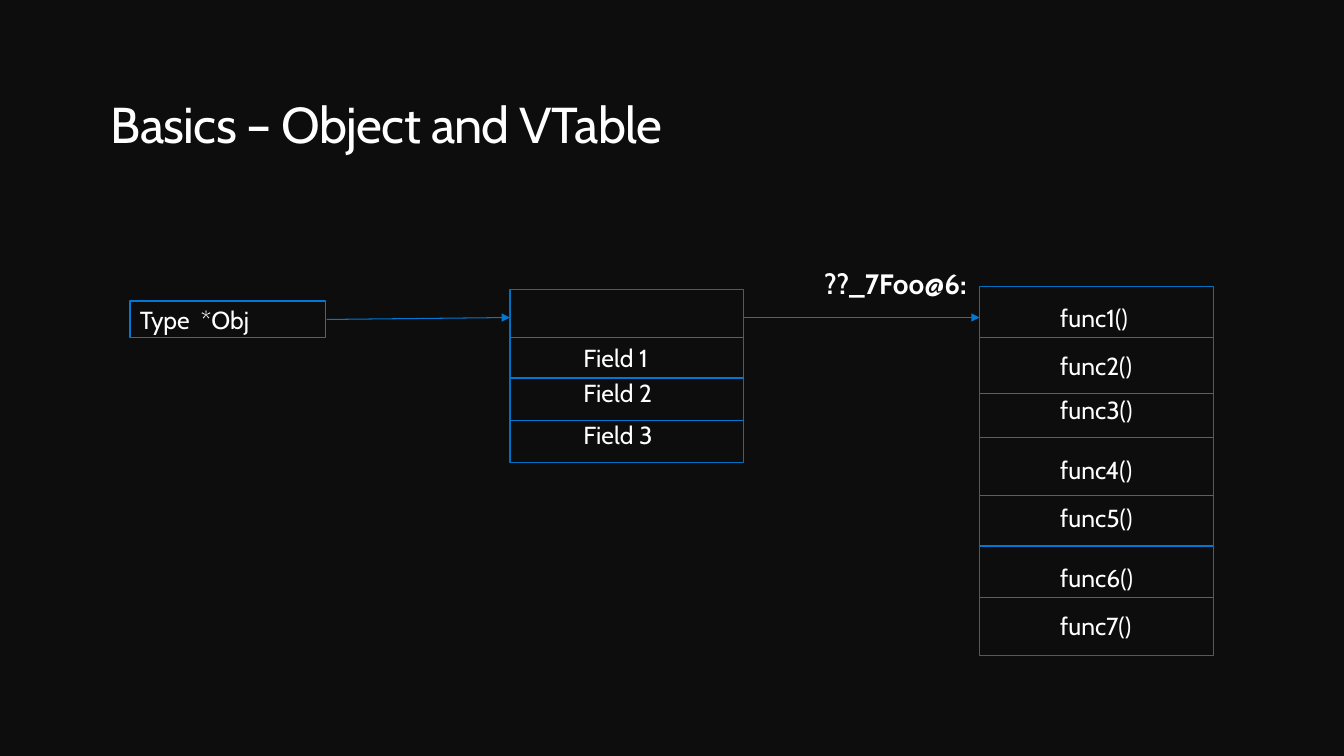
from lxml import etree
from pptx import Presentation
from pptx.dml.color import RGBColor
from pptx.enum import shapes, text
from pptx.oxml.ns import qn
from pptx.util import Pt

BACK = RGBColor(0x0D, 0x0D, 0x0D)
WHITE = RGBColor(0xFF, 0xFF, 0xFF)
BLUE = RGBColor(0x00, 0x78, 0xD4)
FRAME = RGBColor(0x00, 0x70, 0xC0)

prs = Presentation()
prs.slide_width, prs.slide_height = Pt(960), Pt(540)
s = prs.slides.add_slide(prs.slide_layouts[5])
s.background.fill.solid()
s.background.fill.fore_color.rgb = BACK


def write(sp, words, size=17.6, bold=False):
    tf = sp.text_frame
    tf.word_wrap = True
    p = tf.paragraphs[0]
    p.alignment = text.PP_ALIGN.LEFT
    r = p.add_run()
    r.text = words
    r.font.name, r.font.size, r.font.bold = "Cabin", Pt(size), bold
    r.font.color.rgb = WHITE
    return r


def connect(x1, y1, x2, y2, arrow=False):
    line = s.shapes.add_connector(shapes.MSO_CONNECTOR.STRAIGHT, Pt(x1), Pt(y1), Pt(x2), Pt(y2))
    line.line.color.rgb = BLUE
    line.line.width = Pt(0.75)
    if arrow:
        etree.SubElement(line.line._get_or_add_ln(), qn("a:tailEnd"), type="triangle")
    etree.SubElement(line._element.spPr, qn("a:effectLst"))


# Title
title = s.shapes.title
title.left, title.top, title.width, title.height = Pt(79.2), Pt(66.2), Pt(867.6), Pt(43.9)
tf = title.text_frame
tf.margin_left = tf.margin_top = tf.margin_right = tf.margin_bottom = 0
tf.vertical_anchor = text.MSO_ANCHOR.TOP
r = write(title, "Basics – Object and VTable", size=36)
r.font._element.set("spc", "-50")

# Pointer, object and vtable frames
frames = []
for x, y, w, h, color in [
    (92.9, 215.1, 139.9, 25.9, BLUE),
    (364.3, 207, 167, 123.1, FRAME),
    (699.8, 204.7, 167, 263.5, FRAME),
]:
    sp = s.shapes.add_shape(shapes.MSO_SHAPE.RECTANGLE, Pt(x), Pt(y), Pt(w), Pt(h))
    sp.shadow.inherit = False
    sp.fill.background()
    sp.line.color.rgb = color
    sp.line.width = Pt(0.85)
    frames.append(sp)
pointer = frames[0]
pointer.fill.solid()
pointer.fill.fore_color.rgb = BACK
pointer.text_frame.vertical_anchor = text.MSO_ANCHOR.MIDDLE
write(pointer, "Type  *Obj")

# Row dividers: left edge, heights
for x, rows in [
    (364.3, [241.2, 270, 300.2]),
    (699.8, [241.2, 280.8, 312.5, 354, 390, 427]),
]:
    for y in rows:
        connect(x, y, x + 167, y)

# Row labels: left edge, name pattern, tops
for x, name, tops in [
    (409.7, "Field {}", [241.2, 266.4, 296.6]),
    (750.2, "func{}()", [213.1, 247, 278.6, 321.1, 355.7, 398.2, 432.7]),
]:
    for i, y in enumerate(tops, 1):
        write(s.shapes.add_textbox(Pt(x), Pt(y), Pt(94.3), Pt(28.8)), name.format(i))

# Vtable symbol
symbol = s.shapes.add_textbox(Pt(581.8), Pt(186.5), Pt(127.4), Pt(31.7))
write(symbol, "??_7Foo@6:", size=20, bold=True)

# Arrows from pointer to object to vtable
connect(233.3, 228.2, 364.3, 226.8, arrow=True)
connect(531.3, 226.8, 699.8, 226.8, arrow=True)

prs.save("out.pptx")
